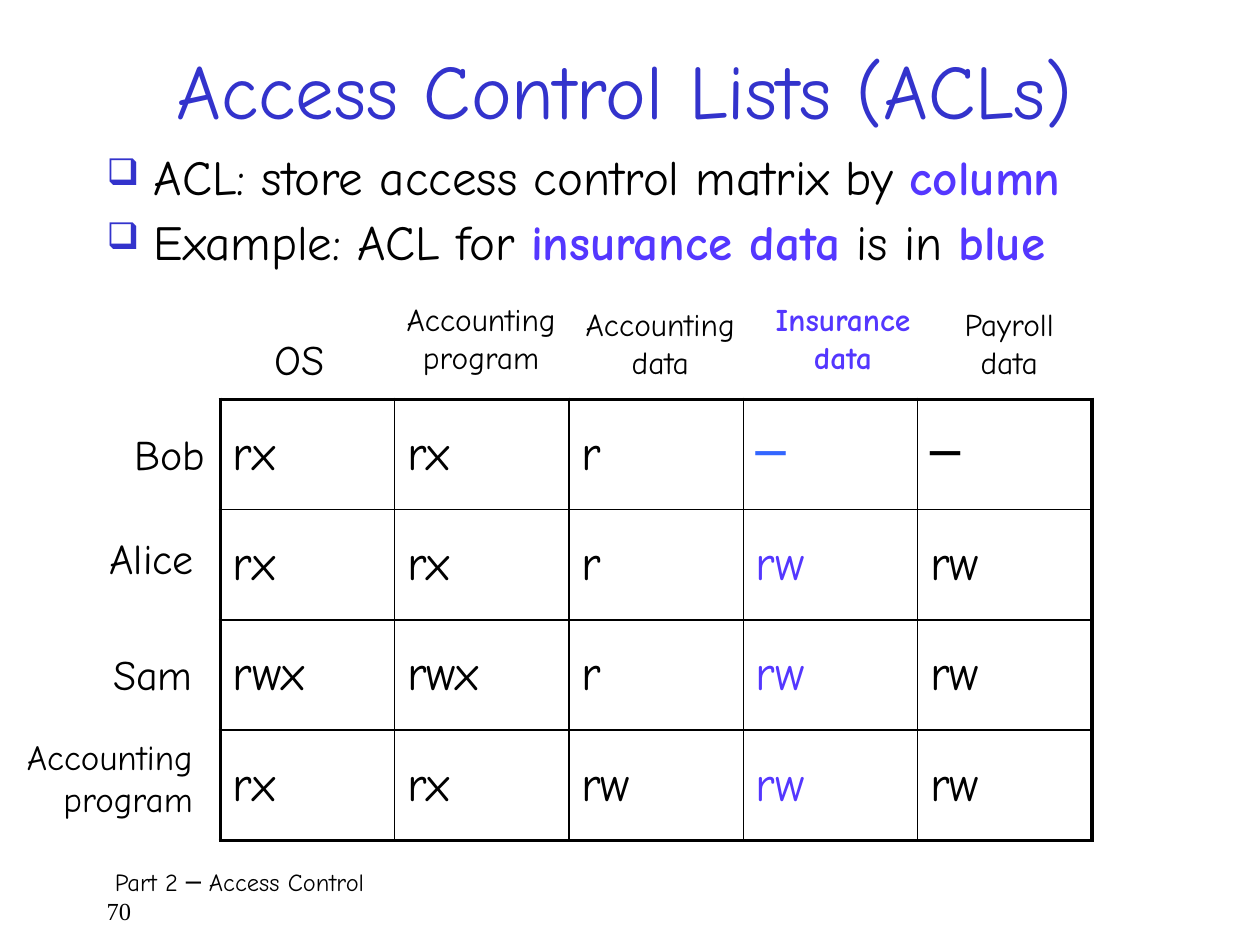
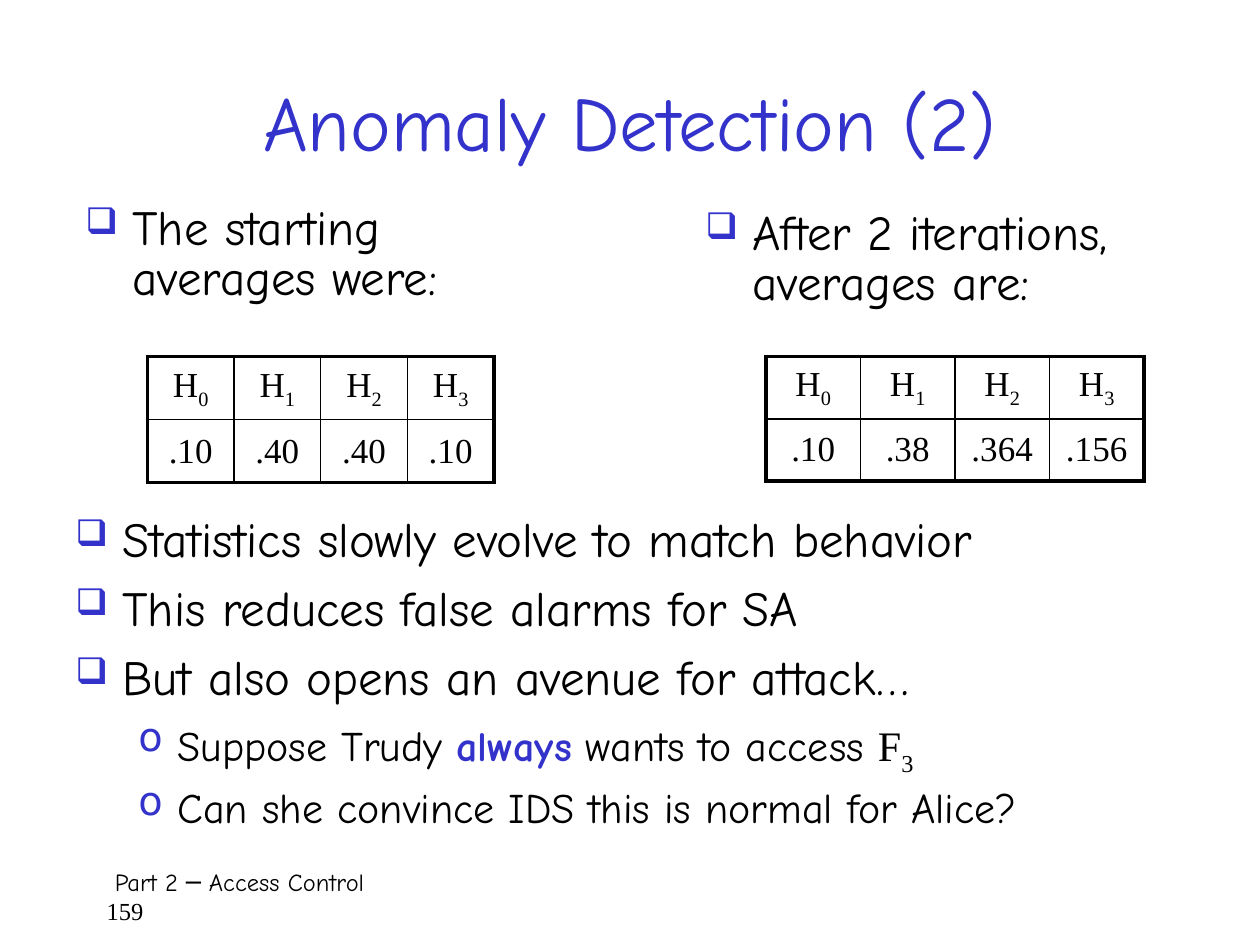
import pptx
import pptx.util
import pptx.dml.color
import pptx.enum.text
import pptx.oxml
import pptx.oxml.ns
from lxml import etree

Cm, Pt = pptx.util.Cm, pptx.util.Pt
ALIGN = pptx.enum.text.PP_ALIGN
ANCHOR = pptx.enum.text.MSO_ANCHOR
qn = pptx.oxml.ns.qn

# Shared look
COMIC, TIMES = "Comic Neue", "Times New Roman"
BLACK, BLUE, VIOLET, SKY = "000000", "3333CC", "5437FF", "3366FF"
THICK, THIN = 2.25, 1
FOOT = "Part 2 ─ Access Control"
BULLETS = [  # char, size %, left, hang, text size
    ("❑", 75, 0.95, 0.95, 28),
    ("o", 95, 2.06, 0.79, 24),
]
KEY = {"color": VIOLET, "bold": True}
SUB = {"font": TIMES, "sub": True}

# Content: a paragraph is a list of (text, format) runs; places in cm
ACL = {
    "page": "70",
    "title": ("Access Control Lists (ACLs)", (1.7, 0.84, 21.8, 1.9)),
    "lists": [((1.9, 2.97, 21.8, 3.18), 0.9, 0, [
        (0, [("ACL: store access control matrix by ", {}), ("column", KEY)]),
        (0, [("Example: ACL for ", {}), ("insurance data", KEY),
             (" is in ", {}), ("blue", KEY)]),
    ])],
    "labels": [  # lines, place, size, align, format
        (["OS"], (5.28, 6.6, 1.78, 1.45), 24, ALIGN.LEFT, {}),
        (["Accounting", "program"], (7.82, 5.92, 3.76, 2.03), 18, ALIGN.CENTER, {}),
        (["Accounting", "data"], (11.43, 6.02, 3.76, 2.03), 18, ALIGN.CENTER, {}),
        (["Insurance", "data"], (15.24, 5.92, 3.51, 2.03), 18, ALIGN.CENTER, KEY),
        (["Payroll", "data"], (19.1, 6.02, 2.49, 2.03), 18, ALIGN.CENTER, {}),
        (["Bob"], (2.46, 8.51, 1.98, 1.45), 24, ALIGN.LEFT, {}),
        (["Alice"], (1.96, 10.62, 2.49, 1.45), 24, ALIGN.LEFT, {}),
        (["Sam"], (2.03, 12.95, 2.18, 1.45), 24, ALIGN.LEFT, {}),
        (["Accounting", "program"], (0, 14.71, 4.14, 2.24), 20, ALIGN.RIGHT, {}),
    ],
}
RIGHTS = [
    ["rx", "rx", "r", "─", "─"],
    ["rx", "rx", "r", "rw", "rw"],
    ["rwx", "rwx", "r", "rw", "rw"],
    ["rx", "rx", "rw", "rw", "rw"],
]
MARKED = 3  # insurance data column

ANOMALY = {
    "page": "159",
    "title": ("Anomaly Detection (2)", (1.9, 0.84, 21.6, 3.18)),
    "lists": [
        ((1.47, 4.01, 10.36, 2.74), 0.85, 0,
         [(0, [("The starting averages were:", {})])]),
        ((13.97, 4.11, 10.36, 2.46), 0.85, 0,
         [(0, [("After 2 iterations, averages are:", {})])]),
        ((1.27, 10.36, 23.06, 6.78), 0.8, 6, [
            (0, [("Statistics slowly evolve to match behavior", {})]),
            (0, [("This reduces false alarms for SA", {})]),
            (0, [("But also opens an avenue for attack…", {})]),
            (1, [("Suppose Trudy ", {}), ("always", {"color": BLUE, "bold": True}),
                 (" wants to access ", {}), ("F", {"font": TIMES}), ("3", SUB)]),
            (1, [("Can she convince IDS this is normal for Alice?", {})]),
        ]),
    ],
    "labels": [],
}
MEANS = [
    ((2.97, 7.19, 6.99, 2.54), [".10", ".40", ".40", ".10"]),
    ((15.44, 7.19, 7.62, 2.51), [".10", ".38", ".364", ".156"]),
]


def paint(code):
    return pptx.dml.color.RGBColor.from_string(code)


def write(para, runs, size, **look):
    for name, value in look.items():
        setattr(para, name, value)
    for text, form in runs:
        run = para.add_run()
        run.text = text
        looks = {"size": Pt(size), "name": form.get("font", COMIC),
                 "bold": form.get("bold", False)}
        for name, value in looks.items():
            setattr(run.font, name, value)
        run.font.color.rgb = paint(form.get("color", BLACK))
        if form.get("sub"):
            run._r.get_or_add_rPr().set("baseline", "-25000")


def frame(slide, place, wrap=True, anchor=ANCHOR.TOP):
    text = slide.shapes.add_textbox(*map(Cm, place)).text_frame
    text.word_wrap, text.vertical_anchor = wrap, anchor
    return text


def paras(text, items):
    """Pair each item with its paragraph."""
    for i, item in enumerate(items):
        yield (text.add_paragraph() if i else text.paragraphs[0]), item


def bullet(para, level):
    char, scale, left, hang, _ = BULLETS[level]
    props = para._p.get_or_add_pPr()
    props.set("marL", str(Cm(left)))
    props.set("indent", str(-Cm(hang)))
    tint = etree.SubElement(props, qn("a:buClr"))
    etree.SubElement(tint, qn("a:srgbClr"), val=BLUE)
    etree.SubElement(props, qn("a:buSzPct"), val=str(scale * 1000))
    etree.SubElement(props, qn("a:buChar"), char=char)


def border(cell, widths):
    props = cell._tc.get_or_add_tcPr()
    for i, (side, width) in enumerate(widths.items()):
        line = etree.Element(qn("a:ln" + side), w=str(Pt(width)))
        fill = etree.SubElement(line, qn("a:solidFill"))
        etree.SubElement(fill, qn("a:srgbClr"), val=BLACK)
        props.insert(i, line)


def grid(slide, place, rows, size, align):
    """Table of run lists with a thick outer frame."""
    high, wide = len(rows), len(rows[0])
    table = slide.shapes.add_table(high, wide, *map(Cm, place)).table
    table.first_row = table.horz_banding = False
    for r, row in enumerate(rows):
        for c, runs in enumerate(row):
            cell = table.cell(r, c)
            cell.fill.background()
            cell.vertical_anchor = ANCHOR.MIDDLE
            write(cell.text_frame.paragraphs[0], runs, size, alignment=align,
                  space_before=Pt(size * 0.2))
            edges = {"L": c == 0, "R": c == wide - 1,
                     "T": r == 0, "B": r == high - 1}
            border(cell, {k: THICK if v else THIN for k, v in edges.items()})


def page(deck, data):
    """Slide with footer, title, bullet lists and labels."""
    slide = deck.slides.add_slide(deck.slide_layouts[6])
    foot = frame(slide, (1.9, 17.35, 21.8, 1.27))
    lines = [(" " + FOOT, COMIC), (data["page"], TIMES)]
    for para, (text, font) in paras(foot, lines):
        write(para, [(text, {"font": font})], 14)
    name, place = data["title"]
    head = frame(slide, place, anchor=ANCHOR.MIDDLE)
    write(head.paragraphs[0], [(name, {"color": BLUE})], 44,
          alignment=ALIGN.CENTER)
    for place, pitch, after, items in data["lists"]:
        for para, (level, runs) in paras(frame(slide, place), items):
            size = BULLETS[level][-1]
            write(para, runs, size, level=level, line_spacing=pitch,
                  space_before=Pt(size * 0.23), space_after=Pt(after))
            bullet(para, level)
    for lines, place, size, align, form in data["labels"]:
        for para, line in paras(frame(slide, place, wrap=False), lines):
            write(para, [(line, form)], size, alignment=align)
    return slide


def main():
    deck = pptx.Presentation()
    deck.slide_width, deck.slide_height = Cm(25.4), Cm(19.05)

    # Access matrix
    slide = page(deck, ACL)
    tint = {"─": SKY, "rw": VIOLET}
    cells = [[[(t, {"color": tint[t] if c == MARKED else BLACK})]
              for c, t in enumerate(row)] for row in RIGHTS]
    grid(slide, (4.44, 8.05, 17.58, 8.89), cells, 28, ALIGN.LEFT)

    # Averages before and after
    slide = page(deck, ANOMALY)
    for place, means in MEANS:
        heads = [[("H", {"font": TIMES}), (str(i), SUB)] for i in range(len(means))]
        values = [[(mean, {"font": TIMES})] for mean in means]
        grid(slide, place, [heads, values], 20, ALIGN.CENTER)

    deck.save("out.pptx")


if __name__ == "__main__":
    main()
